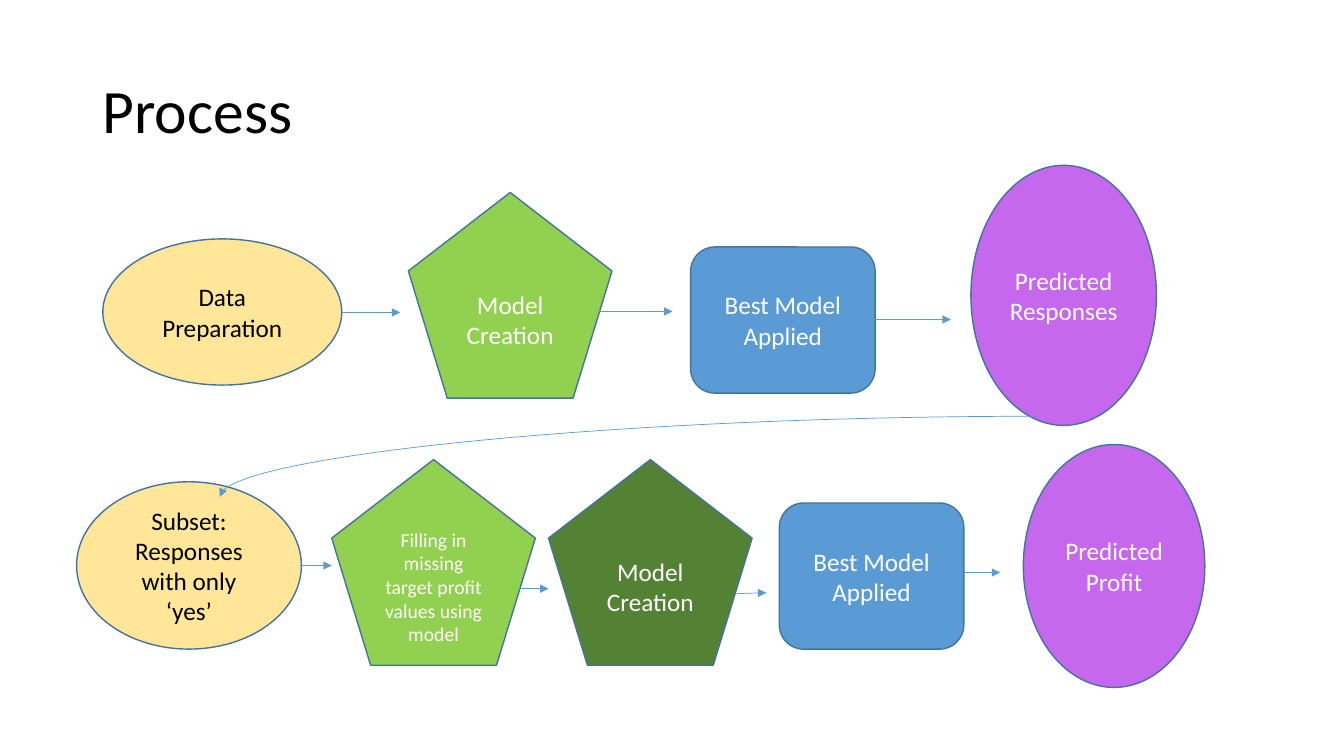
from dataclasses import dataclass

from lxml.etree import SubElement
from pptx import Presentation
from pptx.dml.color import RGBColor
from pptx.enum.shapes import MSO_CONNECTOR, MSO_SHAPE
from pptx.enum.text import MSO_ANCHOR, PP_ALIGN
from pptx.oxml.ns import qn
from pptx.util import Inches, Pt


@dataclass(frozen=True)
class Theme:
    font: str = "Calibri"
    black: str = "000000"
    white: str = "FFFFFF"
    cream: str = "FFE699"
    green: str = "92D050"
    dark_green: str = "548235"
    blue: str = "5B9BD5"
    purple: str = "C568EE"
    outline: str = "43739E"
    title: int = 44
    body: int = 18
    small: int = 14


class SlideBuilder:
    def __init__(self, slide, theme):
        self.s, self.t = slide, theme

    def add_text(self, tf, text, size, color, align):
        tf.word_wrap = True
        tf.vertical_anchor = MSO_ANCHOR.MIDDLE
        p = tf.paragraphs[0]
        p.alignment = align
        r = p.add_run()
        r.text = text
        r.font.name, r.font.size = self.t.font, Pt(size)
        r.font.color.rgb = RGBColor.from_string(color)
        return p

    def title(self, text, *box):
        sp = self.s.shapes.add_textbox(*map(Inches, box))
        p = self.add_text(sp.text_frame, text, self.t.title, self.t.black, PP_ALIGN.LEFT)
        p.line_spacing = 0.9

    def step(self, kind, text, box, fill, size=None):
        sp = self.s.shapes.add_shape(kind, *map(Inches, box))
        sp.shadow.inherit = False
        sp.fill.solid()
        sp.fill.fore_color.rgb = RGBColor.from_string(fill)
        sp.line.color.rgb = RGBColor.from_string(self.t.outline)
        sp.line.width = Pt(1)
        color = self.t.black if fill == self.t.cream else self.t.white
        self.add_text(sp.text_frame, text, size or self.t.body, color, PP_ALIGN.CENTER)

    def arrow(self, *ends, curved=False):
        kind = MSO_CONNECTOR.CURVE if curved else MSO_CONNECTOR.STRAIGHT
        cn = self.s.shapes.add_connector(kind, *map(Inches, ends))
        cn.line.color.rgb = RGBColor.from_string(self.t.blue)
        cn.line.width = Pt(0.5)
        sp_pr = cn._element.spPr
        if curved:  # quarter curve: leaves sideways, arrives downwards
            sp_pr.find(qn("a:prstGeom")).set("prst", "curvedConnector2")
        SubElement(sp_pr.find(qn("a:ln")), qn("a:tailEnd"), type="triangle")
        SubElement(sp_pr, qn("a:effectLst"))


prs = Presentation()
prs.slide_width, prs.slide_height = Inches(13.33), Inches(7.5)
t = Theme()
s = SlideBuilder(prs.slides.add_slide(prs.slide_layouts[6]), t)

OVAL, PENTAGON = MSO_SHAPE.OVAL, MSO_SHAPE.REGULAR_PENTAGON
ROUNDED = MSO_SHAPE.ROUNDED_RECTANGLE
PENTAGON_SIZE = (2.02, 2.04)
APPLIED_SIZE = (1.83, 1.45)

s.title("Process", 0.92, 0.4, 11.5, 1.45)

# Top row: predicting responses
s.step(OVAL, "Data Preparation", (1.02, 2.37, 2.37, 1.45), t.cream)
s.step(PENTAGON, "Model Creation", (4.05, 1.91, *PENTAGON_SIZE), t.green)
s.step(ROUNDED, "Best Model Applied", (6.85, 2.45, *APPLIED_SIZE), t.blue)
s.step(OVAL, "Predicted Responses", (9.63, 1.64, 1.84, 2.58), t.purple)

# Bottom row: predicting profit
s.step(OVAL, "Subset: Responses with only ‘yes’", (0.76, 4.78, 2.23, 1.66), t.cream)
s.step(PENTAGON, "Filling in missing target profit values using model",
       (3.29, 4.56, *PENTAGON_SIZE), t.green, t.small)
s.step(PENTAGON, "Model Creation", (5.44, 4.56, *PENTAGON_SIZE), t.dark_green)
s.step(ROUNDED, "Best Model Applied", (7.73, 4.99, *APPLIED_SIZE), t.blue)
s.step(OVAL, "Predicted Profit", (10.15, 4.41, 1.8, 2.41), t.purple)

# Arrows between steps, then the return to the bottom row
for x1, y1, x2, y2 in [
    (3.39, 3.1, 3.97, 3.1), (5.94, 3.09, 6.67, 3.09), (8.68, 3.17, 9.43, 3.17),
    (2.98, 5.61, 3.29, 5.61), (5.15, 5.84, 5.44, 5.84),
    (7.3, 5.89, 7.6, 5.88), (9.56, 5.68, 9.92, 5.68),
]:
    s.arrow(x1, y1, x2, y2)
s.arrow(10.28, 4.13, 2.18, 4.93, curved=True)

prs.save("out.pptx")
